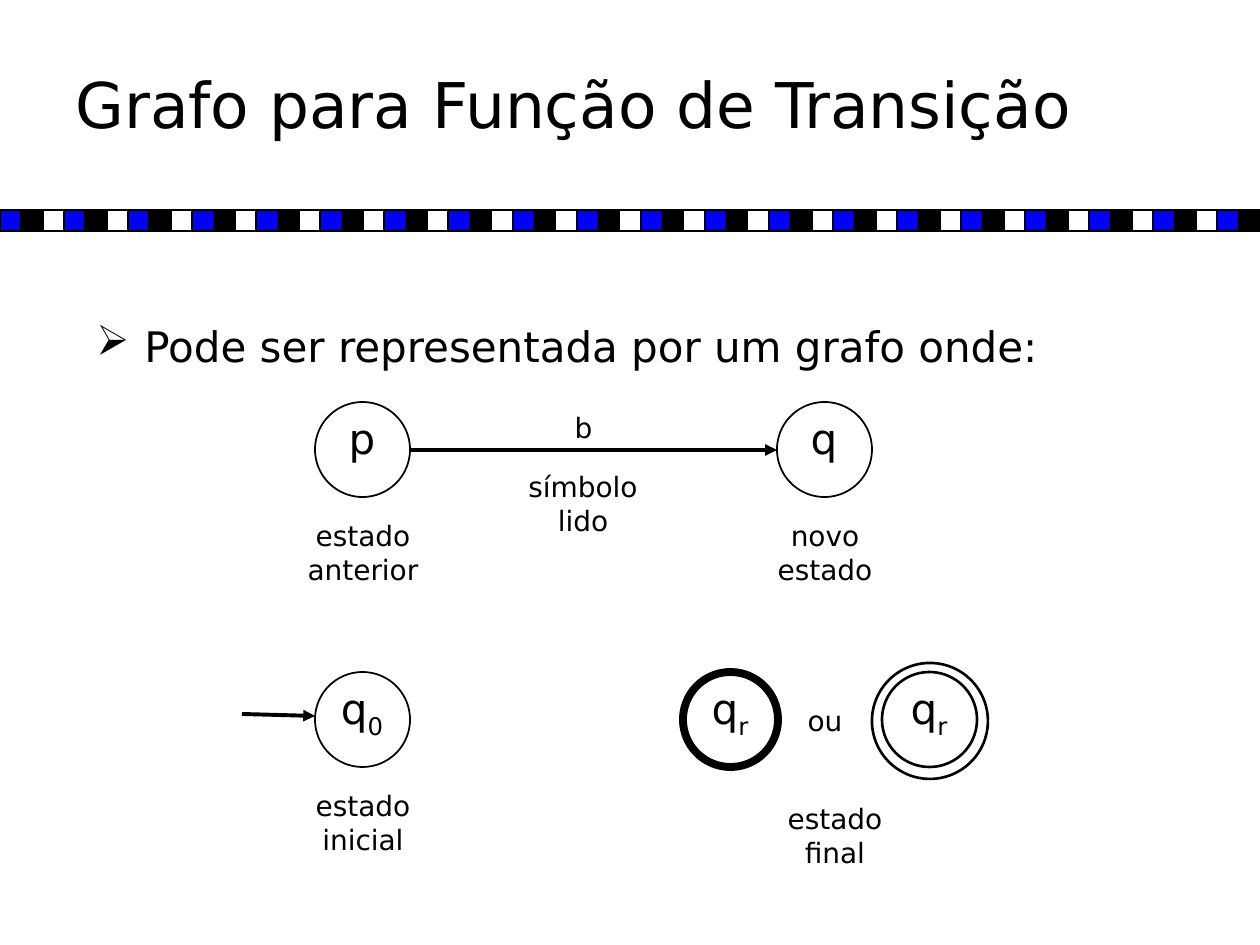
from lxml.etree import SubElement
from pptx import Presentation
from pptx.dml.color import RGBColor
from pptx.enum.shapes import MSO_CONNECTOR as Connector, MSO_SHAPE as Shape
from pptx.enum.text import MSO_ANCHOR as Anchor, MSO_AUTO_SIZE as AutoSize, PP_ALIGN as Align
from pptx.oxml.ns import qn
from pptx.util import Emu, Pt

SLIDE_WIDTH, SLIDE_HEIGHT = 1260, 945
CIRCLE = 95
BAND_CELLS = 59


def px(length):
    return Emu(round(length * 914400 / 126))


def color(value):
    return RGBColor.from_string(value)


class SlideBuilder:
    """Holds the style and the slide that is being drawn."""

    font = "DejaVu Sans"
    ink = "000000"
    band_colors = ("0000FF", "000000", "FFFFFF")

    def __init__(self, slide):
        self.slide = slide

    def format(self, paragraph, size):
        paragraph.font.name = self.font
        paragraph.font.size = Pt(size)
        paragraph.font.color.rgb = color(self.ink)

    def title(self, text, left, top, width, height):
        title = self.slide.shapes.title
        title.left, title.top = px(left), px(top)
        title.width, title.height = px(width), px(height)
        frame = title.text_frame
        frame.text = text
        frame.auto_size = AutoSize.NONE
        frame.vertical_anchor = Anchor.MIDDLE
        frame.paragraphs[0].alignment = Align.LEFT
        self.format(frame.paragraphs[0], 36)

    def shape(self, kind, left, top, width, height, line_width=1, fill=None):
        shape = self.slide.shapes.add_shape(kind, px(left), px(top), px(width), px(height))
        shape.shadow.inherit = False
        if fill:
            shape.fill.solid()
            shape.fill.fore_color.rgb = color(fill)
        else:
            shape.fill.background()
        shape.line.color.rgb = color(self.ink)
        shape.line.width = Pt(line_width)

    def band(self, top, height):
        """Draws a row of squares across the slide in repeating colours."""
        edges = [round(i * SLIDE_WIDTH / BAND_CELLS) for i in range(BAND_CELLS + 1)]
        for i, (left, right) in enumerate(zip(edges, edges[1:])):
            fill = self.band_colors[i % len(self.band_colors)]
            self.shape(Shape.RECTANGLE, left, top, right - left, height, fill=fill)

    def text_box(self, left, top, width, height):
        box = self.slide.shapes.add_textbox(px(left), px(top), px(width), px(height))
        box.text_frame.word_wrap = True
        return box.text_frame

    def bullet(self, text, left, top, width, height):
        frame = self.text_box(left, top, width, height)
        paragraph = frame.paragraphs[0]
        paragraph.text = text
        paragraph.line_spacing = 1.4
        self.format(paragraph, 24)
        properties = paragraph._p.get_or_add_pPr()
        properties.set("marL", str(px(48)))
        properties.set("indent", str(-px(48)))
        bullet = SubElement(properties, qn("a:buChar"))
        bullet.set("char", "➢")
        properties.insert_element_before(bullet, "a:tabLst", "a:defRPr", "a:extLst")

    def label(self, text, left, top, width, height, size=16, space=10, subscript=""):
        frame = self.text_box(left, top, width, height)
        frame.auto_size = AutoSize.SHAPE_TO_FIT_TEXT
        frame.margin_left = frame.margin_right = px(2)
        frame.margin_top = frame.margin_bottom = px(1)
        paragraph = frame.paragraphs[0]
        paragraph.alignment = Align.CENTER
        paragraph.space_before = Pt(space)
        self.format(paragraph, size)
        paragraph.add_run().text = text
        if subscript:
            run = paragraph.add_run()
            run.text = subscript
            run._r.get_or_add_rPr().set("baseline", "-25000")

    def state(self, name, left, top, line_width=1, subscript=""):
        self.shape(Shape.OVAL, left, top, CIRCLE, CIRCLE, line_width)
        self.label(name, left + 10, top + 10, 74, 60 if subscript else 53,
                   size=24, space=15, subscript=subscript)

    def arrow(self, start_x, start_y, end_x, end_y):
        arrow = self.slide.shapes.add_connector(
            Connector.STRAIGHT, px(start_x), px(start_y), px(end_x), px(end_y))
        arrow.line.color.rgb = color(self.ink)
        arrow.line.width = Pt(2.25)
        SubElement(arrow.line._get_or_add_ln(), qn("a:tailEnd")).set("type", "triangle")
        SubElement(arrow._element.spPr, qn("a:effectLst"))


def main():
    presentation = Presentation()
    presentation.slide_width, presentation.slide_height = px(SLIDE_WIDTH), px(SLIDE_HEIGHT)
    builder = SlideBuilder(presentation.slides.add_slide(presentation.slide_layouts[5]))

    builder.band(210, 21)
    builder.title("Grafo para Função de Transição", 63, 35, 1144, 136)
    builder.bullet("Pode ser representada por um grafo onde:", 84, 294, 1103, 95)

    transition_top, special_top = 402, 672
    builder.state("p", 315, transition_top)
    builder.state("q", 777, transition_top)
    builder.arrow(410, 450, 777, 450)

    builder.state("q", 315, special_top, subscript="0")
    builder.arrow(242, 714, 315, 716)
    builder.state("q", 683, special_top, 4.5, "r")
    builder.state("q", 882, special_top, 1.5, "r")
    builder.shape(Shape.OVAL, 872, 663, 116, 116, 1.5)

    for text, left, top in (
        ("estado anterior", 284, 518),
        ("novo estado", 746, 518),
        ("símbolo lido", 504, 469),
        ("estado inicial", 284, 788),
        ("estado final", 756, 801),
    ):
        builder.label(text, left, top, 158, 71)
    builder.label("b", 557, 410, 53, 37)
    builder.label("ou", 746, 703, 158, 37)

    presentation.save("out.pptx")


if __name__ == "__main__":
    main()
